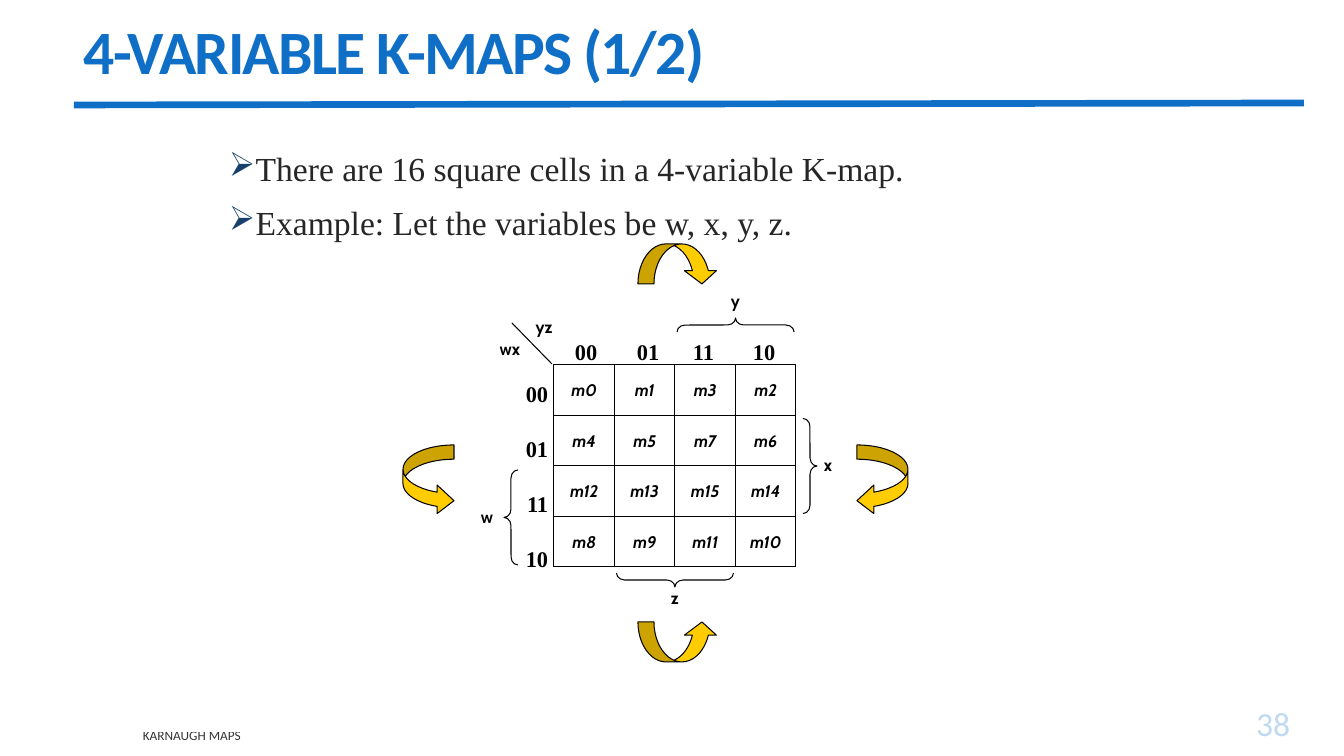
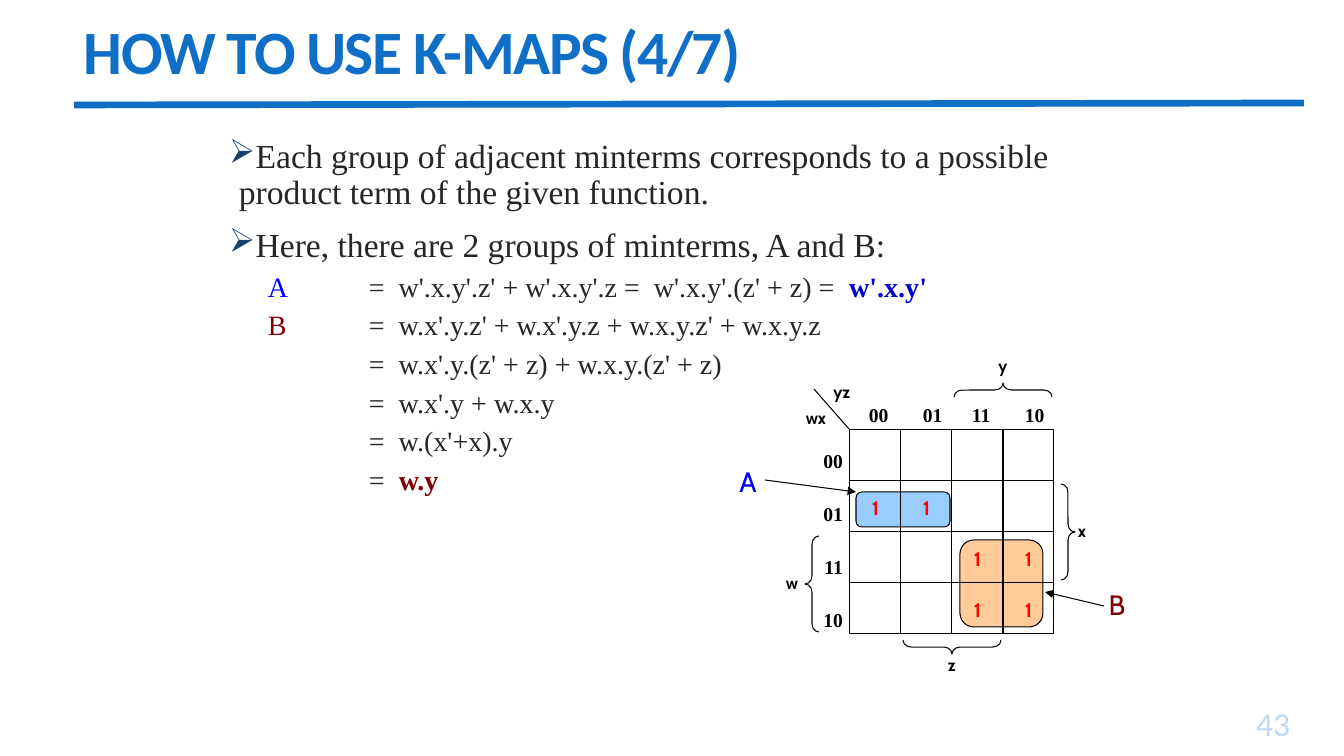
from dataclasses import dataclass

from lxml import etree
from pptx import Presentation
from pptx.dml.color import RGBColor
from pptx.enum.shapes import MSO_CONNECTOR, MSO_SHAPE
from pptx.enum.text import MSO_ANCHOR, PP_ALIGN
from pptx.oxml.ns import qn
from pptx.util import Emu, Pt

LEFT, CENTER, RIGHT = PP_ALIGN.LEFT, PP_ALIGN.CENTER, PP_ALIGN.RIGHT
TOP, MIDDLE, BOTTOM = MSO_ANCHOR.TOP, MSO_ANCHOR.MIDDLE, MSO_ANCHOR.BOTTOM
STRAIGHT = MSO_CONNECTOR.STRAIGHT
RECTANGLE, BRACE = MSO_SHAPE.RECTANGLE, MSO_SHAPE.LEFT_BRACE
ROUNDED = MSO_SHAPE.FLOWCHART_ALTERNATE_PROCESS
SIDE_ARROW, UP_ARROW = MSO_SHAPE.CURVED_RIGHT_ARROW, MSO_SHAPE.CURVED_UP_ARROW

PIXELS_PER_INCH = 100.8
BLUE, NAVY, INK, BLACK = "0F6FC6", "17406D", "262626", "000000"
GROUP_A, RESULT_A, GROUP_B, RED = "0000FF", "0000CC", "800000", "FF0000"
GOLD, PEACH, SKY = "FFCC00", "FFCC99", "99CCFF"
SANS, SERIF, LABEL = "Calibri", "Times New Roman", "Cabin"
GRAY_CODE = (0, 1, 3, 2)
CODES = ("00", "01", "11", "10")


@dataclass(frozen=True)
class Box:
    left: float
    top: float
    width: float
    height: float


@dataclass(frozen=True)
class Style:
    size: float
    font: str = SERIF
    color: str = BLACK
    bold: bool = False
    italic: bool = False
    alpha: int = 100
    spacing: int = 0


@dataclass(frozen=True)
class Span:
    text: str
    color: str | None = None
    bold: bool | None = None


@dataclass(frozen=True)
class Para:
    spans: tuple[Span, ...]
    style: Style
    align: PP_ALIGN = LEFT
    line: float = 1.0
    before: float = 0
    after: float = 0
    bullet: bool = False
    tabs: tuple[int, ...] = ()


@dataclass(frozen=True)
class Label:
    text: str
    center: float
    top: float
    style: Style


@dataclass(frozen=True)
class Segment:
    x1: float
    y1: float
    x2: float
    y2: float


@dataclass(frozen=True)
class CurvedArrow:
    kind: MSO_SHAPE
    box: Box
    adjust: tuple[float, ...]
    flip: str | None = None


@dataclass(frozen=True)
class KMap:
    grid: Box
    cells: dict[int, str]
    cell_style: Style
    code_style: Style
    column_box: Box
    column_tabs: tuple[int, ...]
    row_box: Box
    row_gap: float
    left_brace: int
    letter_gap: int
    slash: Segment
    corner: tuple[Label, ...]


TITLE = Style(44, SANS, BLUE, bold=True, spacing=-120)
NUMBER = Style(24, SANS, BLUE, alpha=25)
FOOTER = Style(9.5, SANS, BLACK, alpha=80)
BODY = Style(24, color=INK)
FORMULA = Style(20, color=INK)
LETTER = Style(12, LABEL, bold=True)
MINTERM = Style(12, LABEL, bold=True, italic=True)
ONE = Style(14, LABEL, RED, bold=True)


def px(value: float) -> Emu:
    return Emu(round(value * 914400 / PIXELS_PER_INCH))


def rgb(color: str) -> RGBColor:
    return RGBColor.from_string(color)


def set_font(font, style: Style) -> None:
    font.name, font.size = style.font, Pt(style.size)
    font.bold, font.italic = style.bold, style.italic
    font.color.rgb = rgb(style.color)
    if style.alpha < 100:
        fill = font._rPr.find(qn("a:solidFill"))
        etree.SubElement(fill[0], qn("a:alpha"), val=str(style.alpha * 1000))
    if style.spacing:
        font._rPr.set("spc", str(style.spacing))


def add_text(page, box: Box, paras: list[Para], anchor=TOP) -> None:
    frame = page.shapes.add_textbox(px(box.left), px(box.top), px(box.width), px(box.height)).text_frame
    frame.word_wrap = True
    frame.vertical_anchor = anchor
    for index, para in enumerate(paras):
        target = frame.add_paragraph() if index else frame.paragraphs[0]
        target.alignment = para.align
        target.line_spacing = para.line
        target.space_before, target.space_after = Pt(para.before), Pt(para.after)
        props = target._p.get_or_add_pPr()
        if para.bullet:
            props.set("marL", str(px(10)))
            props.set("indent", str(-px(10)))
            tint = etree.SubElement(props, qn("a:buClr"))
            etree.SubElement(tint, qn("a:srgbClr"), val=NAVY)
            etree.SubElement(props, qn("a:buChar"), char="➢")
        if para.tabs:
            stops = etree.SubElement(props, qn("a:tabLst"))
            for stop in para.tabs:
                etree.SubElement(stops, qn("a:tab"), pos=str(px(stop)), algn="l")
        set_font(target.font, para.style)
        for span in para.spans:
            run = target.add_run()
            run.text = span.text
            if span.color:
                run.font.color.rgb = rgb(span.color)
            if span.bold is not None:
                run.font.bold = span.bold


def plain(text: str, style: Style, **options) -> Para:
    return Para((Span(text),), style, **options)


def add_label(page, label: Label) -> None:
    box = Box(label.center - 26, label.top, 52, 40)
    add_text(page, box, [plain(label.text, label.style, align=CENTER)])


def add_line(page, segment: Segment, color: str = BLACK, width: float = 0.75, arrow: bool = False) -> None:
    line = page.shapes.add_connector(STRAIGHT, px(segment.x1), px(segment.y1), px(segment.x2), px(segment.y2))
    line.line.color.rgb = rgb(color)
    line.line.width = Pt(width)
    if arrow:
        etree.SubElement(line.line._get_or_add_ln(), qn("a:tailEnd"), type="triangle")
    etree.SubElement(line._element.spPr, qn("a:effectLst"))


def add_outline(page, kind: MSO_SHAPE, box: Box, fill: str | None = None,
                adjust: tuple[float, ...] = (), rotation: int = 0):
    shape = page.shapes.add_shape(kind, px(box.left), px(box.top), px(box.width), px(box.height))
    shape.shadow.inherit = False
    shape.rotation = rotation
    shape.line.color.rgb = rgb(BLACK)
    shape.line.width = Pt(0.75)
    if fill:
        shape.fill.solid()
        shape.fill.fore_color.rgb = rgb(fill)
    else:
        shape.fill.background()
    for index, value in enumerate(adjust):
        shape.adjustments[index] = value
    return shape


def add_curved_arrow(page, arrow: CurvedArrow) -> None:
    shape = add_outline(page, arrow.kind, arrow.box, GOLD, arrow.adjust)
    if arrow.flip:
        shape._element.spPr.find(qn("a:xfrm")).set(arrow.flip, "1")


def add_braces(page, kmap: KMap) -> None:
    grid, gap = kmap.grid, kmap.letter_gap
    right, bottom = grid.left + grid.width, grid.top + grid.height
    middle_x, middle_y = grid.left + grid.width / 2, grid.top + grid.height / 2
    last_x, last_y = grid.left + grid.width * 0.75, grid.top + grid.height * 0.75
    across, down = grid.width / 2 - 4, grid.height / 2 - 6
    for letter, x, y, length, rotation, shift_x, shift_y in (
        ("w", grid.left - kmap.left_brace, last_y + 1, down, 0, -gap, -16),
        ("y", last_x, grid.top - 40, across, 90, 0, -39),
        ("x", right + 14, middle_y, down, 180, gap - 6, -16),
        ("z", middle_x, bottom + 13, across, 270, 0, 3),
    ):
        box = Box(x - 7, y - length / 2, 14, length)
        add_outline(page, BRACE, box, adjust=(0.58, 0.5), rotation=rotation)
        add_label(page, Label(letter, x + shift_x, y + shift_y, LETTER))


def add_kmap(page, kmap: KMap) -> None:
    grid = kmap.grid
    cell_width, cell_height = grid.width / 4, grid.height / 4
    add_outline(page, RECTANGLE, grid)
    for index in range(1, 4):
        x, y = grid.left + index * cell_width, grid.top + index * cell_height
        add_line(page, Segment(grid.left, y, grid.left + grid.width, y))
        add_line(page, Segment(x, grid.top, x, grid.top + grid.height))
    for row, high in enumerate(GRAY_CODE):
        for column, low in enumerate(GRAY_CODE):
            text = kmap.cells.get(4 * high + low)
            if text:
                box = Box(grid.left + column * cell_width, grid.top + row * cell_height + 10, cell_width, 40)
                add_text(page, box, [plain(text, kmap.cell_style, align=CENTER)])
    add_text(page, kmap.column_box, [plain("\t".join(CODES), kmap.code_style, tabs=kmap.column_tabs)])
    add_text(page, kmap.row_box, [plain(code, kmap.code_style, align=RIGHT, after=kmap.row_gap) for code in CODES])
    add_braces(page, kmap)
    add_line(page, kmap.slash)
    for label in kmap.corner:
        add_label(page, label)


def add_page(deck, title: str, number: str, body_top: int, body: list[Para]):
    page = deck.slides.add_slide(deck.slide_layouts[6])
    add_line(page, Segment(74, 105, 1304, 103), BLUE, 4.75)
    add_text(page, Box(74, 8, 1187, 95), [plain(title, TITLE, line=0.85)], MIDDLE)
    add_text(page, Box(1169, 706, 131, 42), [plain(number, NUMBER, align=RIGHT)], BOTTOM)
    add_text(page, Box(219, body_top, 907, 533), body)
    return page


def formula(*spans: Span) -> Para:
    return Para(spans, FORMULA, line=0.9, before=6, tabs=(39, 140))


def build_variables(deck) -> None:
    page = add_page(deck, "4-VARIABLE K-MAPS (1/2)", "38", 143, [
        plain(text, BODY, before=10, bullet=True) for text in (
            "There are 16 square cells in a 4-variable K-map.",
            "Example: Let the variables be w, x, y, z.")])
    add_text(page, Box(133, 723, 758, 25), [plain("KARNAUGH MAPS", FOOTER)], MIDDLE)
    add_kmap(page, KMap(
        Box(554, 365, 242, 202), {index: f"m{index}" for index in range(16)}, MINTERM,
        Style(16, bold=True), Box(565, 333, 226, 40), (62, 118, 178), Box(514, 375, 44, 209), 20.2,
        43, 24, Segment(552, 364, 512, 323),
        (Label("wx", 510, 334, LETTER), Label("yz", 544, 312, LETTER))))
    side, upright = (0.28, 0.56, 0.33), (0.4, 0.8, 0.33)
    for arrow in (
        CurvedArrow(SIDE_ARROW, Box(403, 445, 51, 70), side),
        CurvedArrow(SIDE_ARROW, Box(857, 445, 51, 70), side, "flipH"),
        CurvedArrow(UP_ARROW, Box(638, 622, 80, 40), upright),
        CurvedArrow(UP_ARROW, Box(638, 244, 80, 40), upright, "flipV"),
    ):
        add_curved_arrow(page, arrow)


def build_groups(deck) -> None:
    page = add_page(deck, "HOW TO USE K-MAPS (4/7)", "43", 134, [
        plain("Each group of adjacent minterms corresponds to a possible product term of the given function.",
              BODY, line=0.9, before=10, bullet=True),
        plain("Here, there are 2 groups of minterms, A and B:", BODY, line=0.9, before=12, bullet=True),
        formula(Span("\tA", GROUP_A), Span("\t=  w'.x.y'.z' + w'.x.y'.z =  w'.x.y'.(z' + z) =  "),
                Span("w'.x.y'", RESULT_A, True)),
        formula(Span("\tB", GROUP_B), Span("\t=  w.x'.y.z' + w.x'.y.z + w.x.y.z' + w.x.y.z")),
        formula(Span("\t\t=  w.x'.y.(z' + z) + w.x.y.(z' + z)")),
        formula(Span("\t\t=  w.x'.y + w.x.y")),
        formula(Span("\t\t=  w.(x'+x).y")),
        formula(Span("\t\t=  "), Span("w.y", GROUP_B, True))])
    add_outline(page, ROUNDED, Box(960, 540, 83, 87), PEACH)
    add_outline(page, ROUNDED, Box(856, 492, 94, 35), SKY)
    add_kmap(page, KMap(
        Box(850, 430, 204, 204), dict.fromkeys((4, 5, 10, 11, 14, 15), "1"), ONE,
        Style(14, bold=True), Box(859, 398, 209, 40), (54, 103, 156), Box(798, 444, 55, 211), 21,
        38, 20, Segment(849, 429, 814, 389),
        (Label("wx", 816, 403, LETTER), Label("yz", 842, 377, LETTER))))
    add_label(page, Label("A", 748, 460, Style(20, LABEL, GROUP_A)))
    add_label(page, Label("B", 1117, 583, Style(20, LABEL, GROUP_B)))
    add_line(page, Segment(765, 480, 856, 492), arrow=True)
    add_line(page, Segment(1104, 606, 1045, 592), arrow=True)


deck = Presentation()
deck.slide_width, deck.slide_height = px(1344), px(756)
build_variables(deck)
build_groups(deck)
deck.save("out.pptx")
